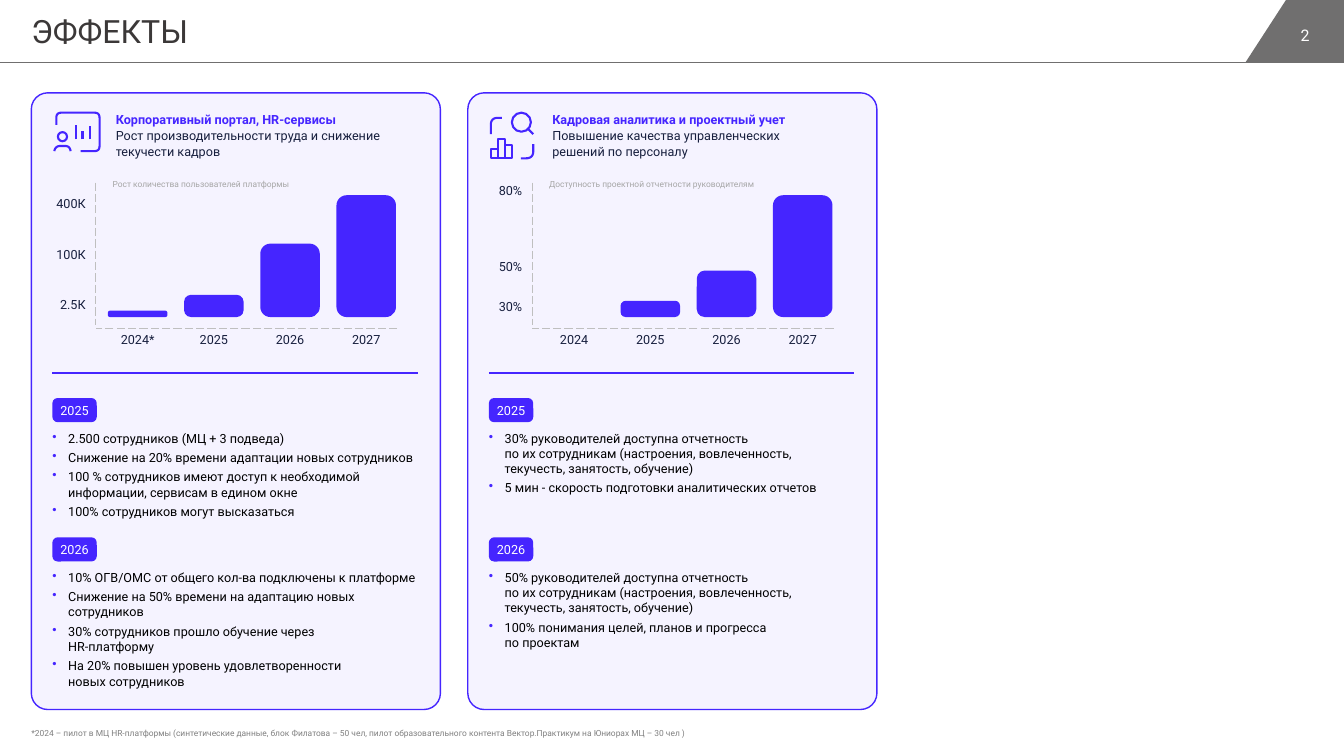
from dataclasses import dataclass

from lxml import etree
from pptx import Presentation
from pptx.dml.color import RGBColor
from pptx.enum import dml, shapes, text
from pptx.oxml import ns
from pptx.util import Cm, Pt


@dataclass(frozen=True)
class Theme:
    font: str = "Roboto"
    accent: RGBColor = RGBColor(0x45, 0x25, 0xFF)
    heading: RGBColor = RGBColor(0x3B, 0x38, 0x38)
    navy: RGBColor = RGBColor(0x17, 0x1F, 0x3E)
    black: RGBColor = RGBColor(0, 0, 0)
    white: RGBColor = RGBColor(0xFF, 0xFF, 0xFF)
    header: RGBColor = RGBColor(0x70, 0x6F, 0x6F)
    axis: RGBColor = RGBColor(0xBF, 0xBF, 0xBF)
    caption: RGBColor = RGBColor(0xA6, 0xA6, 0xA6)
    footnote: RGBColor = RGBColor(0x80, 0x80, 0x80)
    title_size: float = 22.9
    number_size: float = 11.4
    body_size: float = 9
    small_size: float = 6


theme = Theme()
ROUNDED = shapes.MSO_SHAPE.ROUNDED_RECTANGLE
LEFT, CENTER, RIGHT = text.PP_ALIGN.LEFT, text.PP_ALIGN.CENTER, text.PP_ALIGN.RIGHT
TOP, MIDDLE = text.MSO_ANCHOR.TOP, text.MSO_ANCHOR.MIDDLE


def write_text(frame, lines, size, color, align=LEFT, anchor=TOP, spacing=1.0, bullets=False):
    frame.word_wrap = True
    frame.auto_size = text.MSO_AUTO_SIZE.NONE
    frame.margin_left = frame.margin_right = frame.margin_top = frame.margin_bottom = 0
    frame.vertical_anchor = anchor
    for index, line in enumerate(lines):
        paragraph = frame.add_paragraph() if index else frame.paragraphs[0]
        paragraph.alignment = align
        paragraph.line_spacing = spacing
        paragraph.space_before = Pt(0)
        if bullets:
            paragraph.space_after = Pt(3)
            properties = paragraph._p.get_or_add_pPr()
            properties.set("marL", str(Cm(0.4)))
            properties.set("indent", str(-Cm(0.4)))
            bullet_color = etree.SubElement(properties, ns.qn("a:buClr"))
            etree.SubElement(bullet_color, ns.qn("a:srgbClr"), val=str(theme.accent))
            etree.SubElement(properties, ns.qn("a:buChar"), char="•")
        for part_index, part in enumerate(line.split("\n")):
            if part_index:
                paragraph.add_line_break()
            run = paragraph.add_run()
            run.text = part
            run.font.name = theme.font
            run.font.size = Pt(size)
            run.font.color.rgb = color


def add_line(target, start, end, color, width, dash=None):
    line = target.add_connector(shapes.MSO_CONNECTOR.STRAIGHT, *map(Cm, start + end))
    line.line.color.rgb = color
    line.line.width = Pt(width)
    if dash:
        line.line.dash_style = dash
    etree.SubElement(line._element.spPr, ns.qn("a:effectLst"))


presentation = Presentation()
presentation.slide_width, presentation.slide_height = Cm(33.87), Cm(19.05)
slide = presentation.slides.add_slide(presentation.slide_layouts[5])
canvas = slide.shapes

# Header: title, rule and page number
title = canvas.title
title.left, title.top, title.width, title.height = map(Cm, (0.79, 0.3, 19.6, 0.97))
write_text(title.text_frame, ["ЭФФЕКТЫ"], theme.title_size, theme.heading)
add_line(canvas, (0, 1.57), (33.87, 1.57), theme.header, 0.5)
builder = canvas.build_freeform(Cm(32.41), 0)
builder.add_line_segments([(Cm(x), Cm(y)) for x, y in ((33.87, 0), (33.87, 1.57), (31.39, 1.57))])
corner = builder.convert_to_shape()
corner.shadow.inherit = False
corner.fill.solid()
corner.fill.fore_color.rgb = theme.header
corner.line.fill.background()
number = canvas.add_textbox(*map(Cm, (32.13, 0.38, 1.52, 1.02)))
write_text(number.text_frame, ["2"], theme.number_size, theme.white, CENTER, MIDDLE)

# Panel contents; horizontal positions count from the panel's left edge
panels = [
    dict(
        heading=["Корпоративный портал, HR-сервисы",
                 "Рост производительности труда и снижение текучести кадров"],
        caption="Рост количества пользователей платформы",
        axis_labels=[("400К", 4.93), ("100К", 6.22), ("2.5К", 7.49)],
        bars=[("2024*", 0.16), ("2025", 0.56), ("2026", 1.85), ("2027", 3.07)],
        goals=[
            ("2025", ["2.500 сотрудников (МЦ + 3 подведа)",
                      "Снижение на 20% времени адаптации новых сотрудников",
                      "100 % сотрудников имеют доступ к необходимой информации, сервисам в едином окне",
                      "100% сотрудников могут высказаться"]),
            ("2026", ["10% ОГВ/ОМС от общего кол-ва подключены к платформе",
                      "Снижение на 50% времени на адаптацию новых сотрудников",
                      "30% сотрудников прошло обучение через \nHR-платформу",
                      "На 20% повышен уровень удовлетворенности\nновых сотрудников"]),
        ],
        outlines=[(shapes.MSO_SHAPE.OVAL, (0.67, 3.33, 0.23, 0.23))],
        strokes=[
            (0.13, [(0.63, 3.15), (0.63, 2.84), (1.72, 2.84), (1.72, 3.81), (1.24, 3.81)]),
            (0.12, [(0.58, 3.81), (0.61, 3.68), (0.97, 3.68), (0.99, 3.81)]),
            (0, [(1.12, 3.51), (1.12, 3.15)]),
            (0, [(1.29, 3.51), (1.29, 3.3)]),
            (0, [(1.47, 3.51), (1.47, 3.18)]),
        ],
    ),
    dict(
        heading=["Кадровая аналитика и проектный учет",
                 "Повышение качества управленческих решений по персоналу"],
        caption="Доступность проектной отчетности руководителям",
        axis_labels=[("80%", 4.62), ("50%", 6.53), ("30%", 7.54)],
        bars=[("2024", 0), ("2025", 0.41), ("2026", 1.17), ("2027", 3.07)],
        goals=[
            ("2025", ["30% руководителей доступна отчетность\nпо их сотрудникам "
                      "(настроения, вовлеченность, текучесть, занятость, обучение)",
                      "5 мин - скорость подготовки аналитических отчетов"]),
            ("2026", ["50% руководителей доступна отчетность\nпо их сотрудникам "
                      "(настроения, вовлеченность, текучесть, занятость, обучение)",
                      "100% понимания целей, планов и прогресса\nпо проектам"]),
        ],
        outlines=[
            (shapes.MSO_SHAPE.OVAL, (1.11, 2.84, 0.48, 0.48)),
            (shapes.MSO_SHAPE.RECTANGLE, (0.58, 3.76, 0.18, 0.23)),
            (shapes.MSO_SHAPE.RECTANGLE, (0.76, 3.51, 0.18, 0.48)),
            (shapes.MSO_SHAPE.RECTANGLE, (0.94, 3.66, 0.18, 0.33)),
        ],
        strokes=[
            (0, [(1.52, 3.25), (1.65, 3.38)]),
            (0.18, [(1.34, 3.99), (1.65, 3.99), (1.65, 3.63)]),
            (0.18, [(0.58, 3.38), (0.58, 2.97), (0.86, 2.97)]),
        ],
    ),
]

for panel_index, panel in enumerate(panels):
    left = 0.79 + 11 * panel_index

    # Card with a translucent fill
    card = canvas.add_shape(ROUNDED, *map(Cm, (left, 2.34, 10.31, 15.54)))
    card.adjustments[0] = 0.04
    card.shadow.inherit = False
    card.fill.solid()
    card.fill.fore_color.rgb = theme.accent
    fill_color = card._element.spPr.find(ns.qn("a:solidFill"))[0]
    etree.SubElement(fill_color, ns.qn("a:alpha"), val="5000")
    card.line.color.rgb = theme.accent
    card.line.width = Pt(1)

    # Icon: closed outlines, straight strokes and strokes with rounded corners
    icon = canvas.add_group_shape().shapes
    drawn = [icon.add_shape(kind, *map(Cm, (left + x, y, width, height)))
             for kind, (x, y, width, height) in panel["outlines"]]
    for radius, points in panel["strokes"]:
        points = [(left + x, y) for x, y in points]
        if len(points) == 2:
            add_line(icon, *points, theme.accent, 1.5)
            continue
        curve = []
        for before, bend, after in zip(points, points[1:], points[2:]):
            enter, leave = [
                [b + (n - b) * radius / max(abs(near[0] - bend[0]), abs(near[1] - bend[1]))
                 for b, n in zip(bend, near)] for near in (before, after)]
            for t in (step / 8 for step in range(9)):
                curve.append([(1 - t) ** 2 * e + 2 * t * (1 - t) * b + t * t * f
                              for e, b, f in zip(enter, bend, leave)])
        builder = icon.build_freeform(*map(Cm, points[0]))
        builder.add_line_segments([(Cm(x), Cm(y)) for x, y in curve + points[-1:]], close=False)
        drawn.append(builder.convert_to_shape())
    for shape in drawn:
        shape.shadow.inherit = False
        shape.fill.background()
        shape.line.color.rgb = theme.accent
        shape.line.width = Pt(1.5)

    # Heading and chart caption
    heading = canvas.add_textbox(*map(Cm, (left + 2.13, 2.79, 7.11, 1.22))).text_frame
    write_text(heading, panel["heading"], theme.body_size, theme.navy, spacing=1.07)
    heading.paragraphs[0].runs[0].font.bold = True
    heading.paragraphs[0].runs[0].font.color.rgb = theme.accent
    caption = canvas.add_textbox(*map(Cm, (left + 2.05, 4.52, 5.3, 0.25)))
    write_text(caption.text_frame, [panel["caption"]], theme.small_size, theme.caption)

    # Axes, bars and their labels
    for start, end in (((1.62, 4.6), (1.62, 8.2)), ((9.22, 8.28), (1.62, 8.28))):
        add_line(canvas, (left + start[0], start[1]), (left + end[0], end[1]),
                 theme.axis, 0.75, dml.MSO_LINE.LONG_DASH)
    for label, top in panel["axis_labels"]:
        box = canvas.add_textbox(*map(Cm, (left + 0.4, top, 0.97, 0.38)))
        write_text(box.text_frame, [label], theme.body_size, theme.navy, RIGHT)
    solids = []
    for index, (year, height) in enumerate(panel["bars"]):
        x = left + 1.93 + 1.92 * index
        box = canvas.add_textbox(*map(Cm, (x, 8.37, 1.5, 0.4)))
        write_text(box.text_frame, [year], theme.body_size, theme.navy, CENTER)
        if height:
            bar = canvas.add_shape(ROUNDED, *map(Cm, (x, 7.99 - height, 1.5, height)))
            bar.adjustments[0] = 0.31 if height < 1 else 0.17
            solids.append(bar)

    # Divider and yearly goals
    add_line(canvas, (left + 0.53, 9.4), (left + 9.74, 9.4), theme.accent, 1)
    for index, (year, goals) in enumerate(panel["goals"]):
        top = 10.03 + 3.51 * index
        tag = canvas.add_shape(ROUNDED, *map(Cm, (left + 0.53, top, 1.12, 0.61)))
        tag.adjustments[0] = 0.22
        write_text(tag.text_frame, [year], theme.body_size, theme.white, CENTER, MIDDLE)
        solids.append(tag)
        box = canvas.add_textbox(*map(Cm, (left + 0.53, top + 0.82, 9.21, 2.9)))
        write_text(box.text_frame, goals, theme.body_size, theme.black, bullets=True)
    for shape in solids:
        shape.shadow.inherit = False
        shape.fill.solid()
        shape.fill.fore_color.rgb = theme.accent
        shape.line.fill.background()

# Footnote
footnote = canvas.add_textbox(*map(Cm, (0.79, 18.34, 19.79, 0.25)))
write_text(footnote.text_frame, [
    "*2024 – пилот в МЦ HR-платформы (синтетические данные, блок Филатова – 50 чел, "
    "пилот образовательного контента Вектор.Практикум на Юниорах МЦ – 30 чел )",
], theme.small_size, theme.footnote)

presentation.save("out.pptx")
